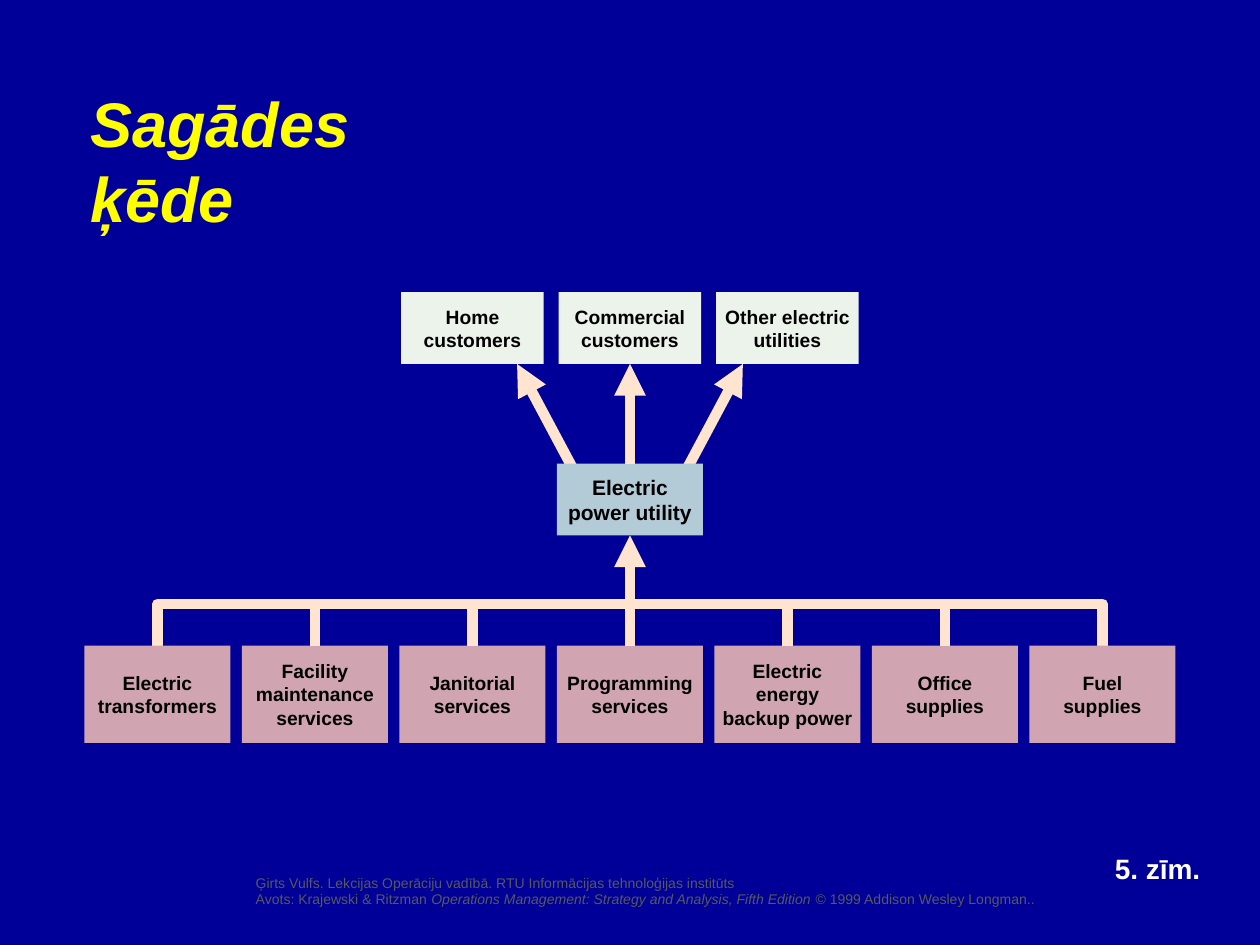
"""Build the supply chain slide for an electric power utility."""
from lxml import etree
from pptx import Presentation
from pptx.dml.color import RGBColor
from pptx.enum.shapes import MSO_CONNECTOR, MSO_SHAPE
from pptx.enum.text import MSO_ANCHOR, MSO_AUTO_SIZE, PP_ALIGN
from pptx.oxml.ns import qn
from pptx.util import Pt

STRAIGHT = MSO_CONNECTOR.STRAIGHT
RECTANGLE = MSO_SHAPE.RECTANGLE
MIDDLE, TOP = MSO_ANCHOR.MIDDLE, MSO_ANCHOR.TOP
CENTER, LEFT = PP_ALIGN.CENTER, PP_ALIGN.LEFT
NO_AUTOFIT = MSO_AUTO_SIZE.NONE

NAVY = RGBColor(0x00, 0x00, 0x99)
YELLOW = RGBColor(0xFF, 0xFF, 0x00)
WHITE = RGBColor(0xFF, 0xFF, 0xFF)
BLACK = RGBColor(0x00, 0x00, 0x00)
GRAY = RGBColor(0x59, 0x59, 0x59)
PEACH = RGBColor(0xFF, 0xE5, 0xD0)
MINT = RGBColor(0xEC, 0xF3, 0xEA)
STEEL = RGBColor(0xB2, 0xCB, 0xD7)
ROSE = RGBColor(0xD0, 0xA4, 0xB1)

TITLE = "Sagādes ķēde"
FIGURE_NUMBER = "5. zīm."
CREDITS = [
    [("Ģirts Vulfs. Lekcijas Operāciju vadībā. RTU Informācijas tehnoloģijas institūts", False)],
    [
        ("Avots: Krajewski & Ritzman ", False),
        ("Operations Management: Strategy and Analysis, Fifth Edition", True),
        (" © 1999 Addison Wesley Longman..", False),
    ],
]
CUSTOMERS = ["Home customers", "Commercial customers", "Other electric utilities"]
UTILITY = "Electric power utility"
SUPPLIERS = [
    ("Electric transformers", 3.5),
    ("Facility maintenance services", 3.5),
    ("Janitorial services", 3.5),
    ("Programming services", 3.5),
    ("Electric energy backup power", 3.5),
    ("Office supplies", 3.5),
    ("Fuel supplies", 8),
]

AXIS, STEP = 360, 90
CUSTOMER_TOP, UTILITY_TOP, SUPPLIER_TOP = 167, 265, 369
CUSTOMER_WIDTH, BOX_WIDTH = 81.5, 83.5
BOX_HEIGHT, SUPPLIER_HEIGHT = 41, 55.5
BUS_Y, LINE_WIDTH = 345, 6


def format_font(run, size, color, bold=False, italic=False):
    font = run.font
    font.name, font.size = "Arial", Pt(size)
    font.bold, font.italic = bold, italic
    font.color.rgb = color


def place(shape, left, top, width, height):
    shape.left, shape.top = Pt(left), Pt(top)
    shape.width, shape.height = Pt(width), Pt(height)


def add_box(slide, label, center, top, width, height, fill, size=11, inset=3.5):
    box = slide.shapes.add_shape(
        RECTANGLE, Pt(center - width / 2), Pt(top), Pt(width), Pt(height))
    box.shadow.inherit = False
    box.fill.solid()
    box.fill.fore_color.rgb = fill
    box.line.fill.background()
    frame = box.text_frame
    frame.text = label
    frame.word_wrap = True
    frame.vertical_anchor = MIDDLE
    frame.margin_left = frame.margin_right = Pt(inset)
    frame.margin_top = frame.margin_bottom = 0
    frame.paragraphs[0].alignment = CENTER
    format_font(frame.paragraphs[0].runs[0], size, BLACK, bold=True)
    return box


def add_link(slide, start, end, arrow=False):
    link = slide.shapes.add_connector(STRAIGHT, *(Pt(value) for value in (*start, *end)))
    link.line.color.rgb = PEACH
    link.line.width = Pt(LINE_WIDTH)
    if arrow:
        etree.SubElement(link.line._get_or_add_ln(), qn("a:tailEnd"), type="triangle")
    etree.SubElement(link._element.spPr, qn("a:effectLst"))
    return link


def add_bus(slide, first, last):
    builder = slide.shapes.build_freeform(Pt(first), Pt(SUPPLIER_TOP))
    builder.add_line_segments(
        [(Pt(first), Pt(BUS_Y)), (Pt(last), Pt(BUS_Y)), (Pt(last), Pt(SUPPLIER_TOP))],
        close=False)
    bus = builder.convert_to_shape()
    bus.shadow.inherit = False
    bus.fill.background()
    bus.line.color.rgb = PEACH
    bus.line.width = Pt(LINE_WIDTH)
    etree.SubElement(bus.line._get_or_add_ln(), qn("a:round"))


def row_centers(count):
    return [AXIS + STEP * (i - (count - 1) / 2) for i in range(count)]


def add_customers_and_utility(slide):
    customers = [
        add_box(slide, label, center, CUSTOMER_TOP, CUSTOMER_WIDTH, BOX_HEIGHT, MINT)
        for label, center in zip(CUSTOMERS, row_centers(len(CUSTOMERS)))]
    customer_bottom = CUSTOMER_TOP + BOX_HEIGHT
    for side in (-1, 1):
        add_link(slide, (AXIS + side * 32.5, UTILITY_TOP + 3),
                 (AXIS + side * 64.5, customer_bottom), arrow=True)
    utility = add_box(slide, UTILITY, AXIS, UTILITY_TOP, BOX_WIDTH, BOX_HEIGHT, STEEL, 12)
    delivery = add_link(slide, (AXIS, UTILITY_TOP), (AXIS, customer_bottom), arrow=True)
    delivery.begin_connect(utility, 0)
    delivery.end_connect(customers[1], 2)
    return utility


def add_suppliers(slide, utility):
    centers = row_centers(len(SUPPLIERS))
    add_bus(slide, centers[0], centers[-1])
    for (label, inset), center in zip(SUPPLIERS, centers):
        supplier = add_box(slide, label, center, SUPPLIER_TOP, BOX_WIDTH,
                           SUPPLIER_HEIGHT, ROSE, inset=inset)
        if center == AXIS:
            trunk = add_link(slide, (center, SUPPLIER_TOP),
                             (center, UTILITY_TOP + BOX_HEIGHT), arrow=True)
            trunk.begin_connect(supplier, 0)
            trunk.end_connect(utility, 2)
        elif center not in (centers[0], centers[-1]):
            drop = add_link(slide, (center, BUS_Y), (center, SUPPLIER_TOP))
            drop.end_connect(supplier, 0)


def add_texts(slide):
    title = slide.shapes.title
    place(title, 44.5, 44.5, 254, 50.5)
    title.text_frame.text = TITLE
    title.text_frame.auto_size = NO_AUTOFIT
    title.text_frame.word_wrap = False
    title.text_frame.vertical_anchor = TOP
    heading = title.text_frame.paragraphs[0]
    heading.alignment = LEFT
    format_font(heading.runs[0], 36, YELLOW, bold=True, italic=True)

    figure = slide.shapes.add_textbox(Pt(630), Pt(483), Pt(63.5), Pt(26.5)).text_frame
    figure.text = FIGURE_NUMBER
    figure.word_wrap = False
    format_font(figure.paragraphs[0].runs[0], 16, WHITE, bold=True)

    credits = slide.shapes.add_textbox(Pt(139), Pt(496), Pt(461), Pt(26.5)).text_frame
    credits.word_wrap = False
    for i, parts in enumerate(CREDITS):
        paragraph = credits.add_paragraph() if i else credits.paragraphs[0]
        for text, italic in parts:
            run = paragraph.add_run()
            run.text = text
            format_font(run, 8, GRAY, italic=italic)


def main():
    deck = Presentation()
    deck.slide_width, deck.slide_height = Pt(720), Pt(540)
    slide = deck.slides.add_slide(deck.slide_layouts[5])
    slide.background.fill.solid()
    slide.background.fill.fore_color.rgb = NAVY
    add_texts(slide)
    utility = add_customers_and_utility(slide)
    add_suppliers(slide, utility)
    deck.save("out.pptx")


if __name__ == "__main__":
    main()
